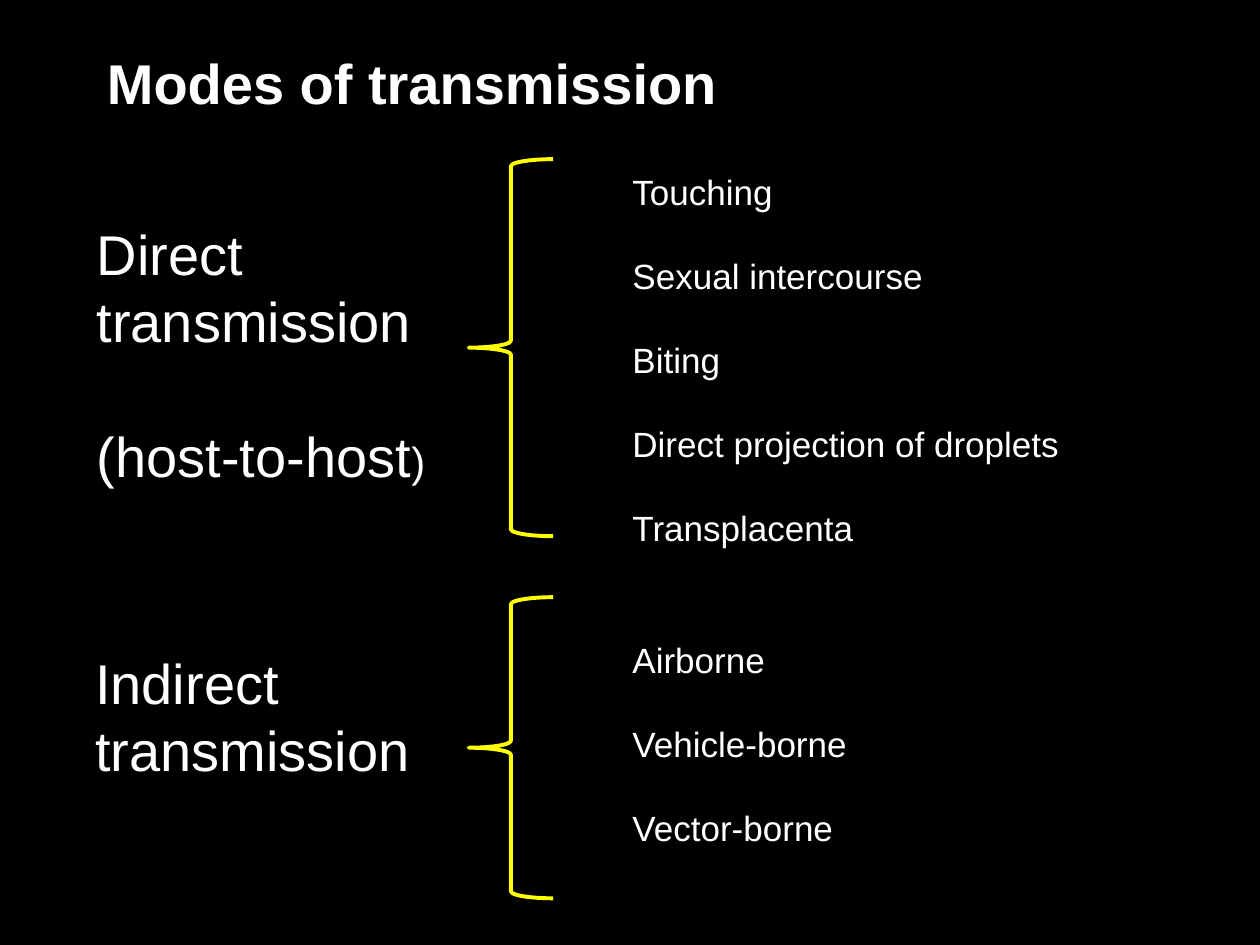
from dataclasses import dataclass

from pptx import Presentation
from pptx.dml.color import RGBColor
from pptx.enum.shapes import MSO_SHAPE
from pptx.enum.text import MSO_ANCHOR, MSO_AUTO_SIZE, PP_ALIGN
from pptx.util import Cm, Pt


@dataclass(frozen=True)
class Theme:
    font: str = "Arial"
    background: RGBColor = RGBColor(0, 0, 0)
    text: RGBColor = RGBColor(255, 255, 255)
    brace: RGBColor = RGBColor(255, 255, 0)
    large: float = 32
    closing: float = 24
    item: float = 20
    large_line: float = 38.5
    item_line: float = 24
    title_line: float = 46.2


@dataclass(frozen=True)
class Box:
    left: float
    top: float
    width: float
    height: float

    def lengths(self) -> tuple:
        return Cm(self.left), Cm(self.top), Cm(self.width), Cm(self.height)


@dataclass(frozen=True)
class Mode:
    label: tuple[tuple[str, ...], ...]
    label_box: Box
    brace_box: Box
    items: tuple[str, ...]
    items_box: Box


THEME = Theme()
MODES = (
    Mode(
        (("Direct transmission",), ("(host-to-host", ")")),
        Box(1.7, 4.29, 7.42, 5.74),
        Box(9.45, 3.21, 1.7, 7.6),
        ("Touching", "Sexual intercourse", "Biting",
         "Direct projection of droplets", "Transplacenta"),
        Box(12.5, 3.31, 11, 7.95),
    ),
    Mode(
        (("Indirect transmission",),),
        Box(1.67, 12.94, 7.42, 4.37),
        Box(9.45, 12.04, 1.7, 6.07),
        ("Airborne", "Vehicle-borne", "Vector-borne"),
        Box(12.5, 12.74, 11, 4.52),
    ),
)


def write_text(shape, paragraphs: tuple[tuple[str, ...], ...], size: float,
               line: float, bold: bool = False) -> None:
    frame = shape.text_frame
    frame.word_wrap = True
    frame.auto_size = MSO_AUTO_SIZE.NONE
    frame.vertical_anchor = MSO_ANCHOR.TOP
    for index, pieces in enumerate(paragraphs):
        paragraph = frame.add_paragraph() if index else frame.paragraphs[0]
        paragraph.alignment = PP_ALIGN.LEFT
        paragraph.line_spacing = Pt(line)
        paragraph.space_before = Pt(line if index else 0)
        font = paragraph.font
        font.name, font.size, font.bold = THEME.font, Pt(size), bold
        font.color.rgb = THEME.text
        for piece in pieces:
            run = paragraph.add_run()
            run.text = piece
            if piece == ")":
                run.font.size = Pt(THEME.closing)


def add_brace(slide, box: Box) -> None:
    brace = slide.shapes.add_shape(MSO_SHAPE.LEFT_BRACE, *box.lengths())
    brace.shadow.inherit = False
    brace.fill.background()
    brace.line.color.rgb = THEME.brace
    brace.line.width = Pt(2.25)


def add_mode(slide, mode: Mode) -> None:
    label = slide.shapes.add_textbox(*mode.label_box.lengths())
    write_text(label, mode.label, THEME.large, THEME.large_line)
    add_brace(slide, mode.brace_box)
    items = slide.shapes.add_textbox(*mode.items_box.lengths())
    write_text(items, tuple((item,) for item in mode.items),
               THEME.item, THEME.item_line)


def main() -> None:
    presentation = Presentation()
    presentation.slide_width, presentation.slide_height = Cm(25.4), Cm(19.05)
    slide = presentation.slides.add_slide(presentation.slide_layouts[5])
    slide.background.fill.solid()
    slide.background.fill.fore_color.rgb = THEME.background
    title = slide.shapes.title
    title.left, title.top, title.width, title.height = Box(1.9, 0.58, 19.25, 1.75).lengths()
    write_text(title, (("Modes of transmission",),), THEME.large, THEME.title_line, bold=True)
    for mode in MODES:
        add_mode(slide, mode)
    presentation.save("out.pptx")


main()
